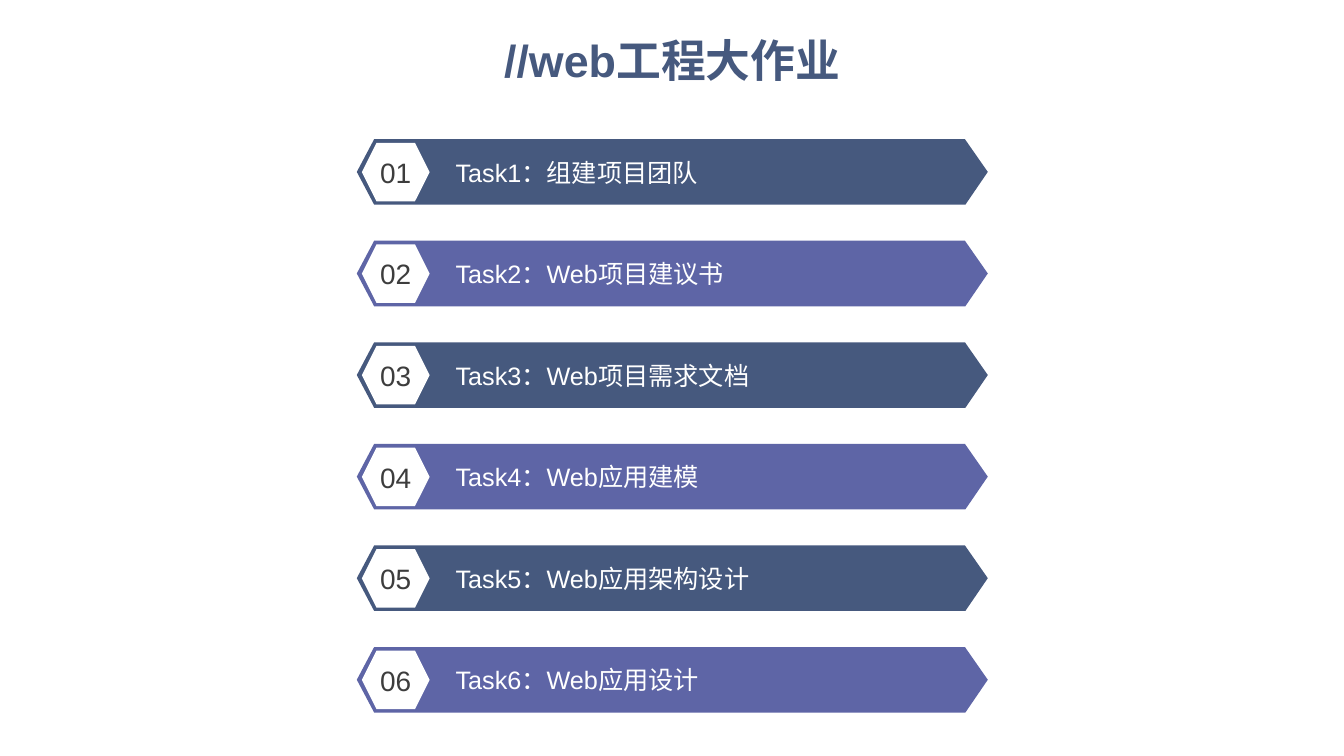
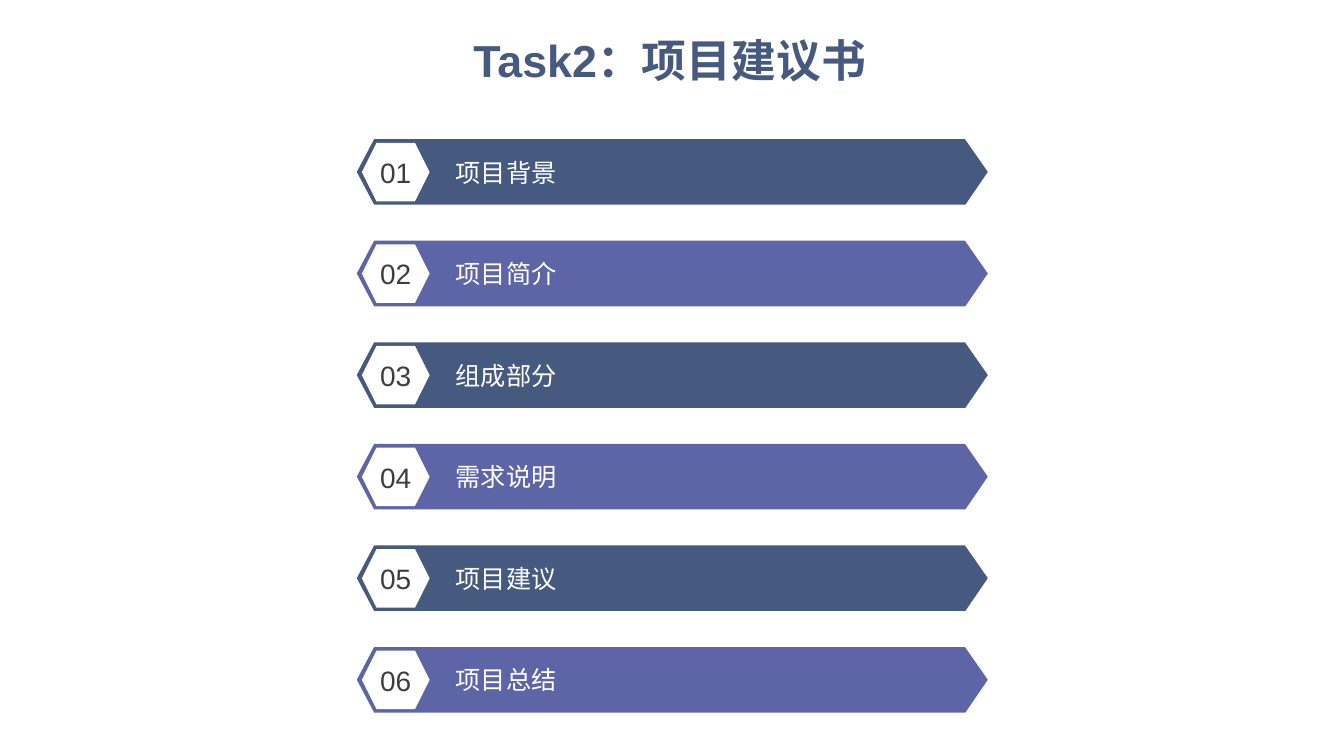
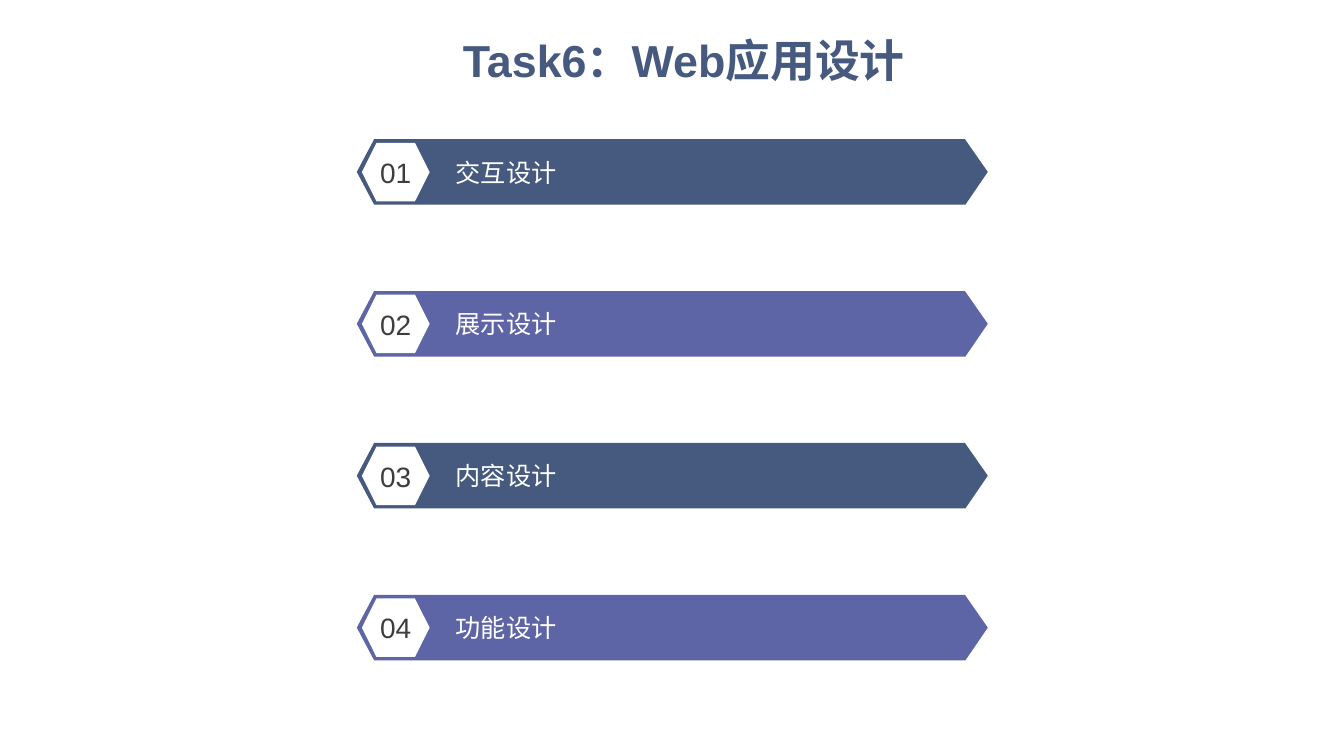
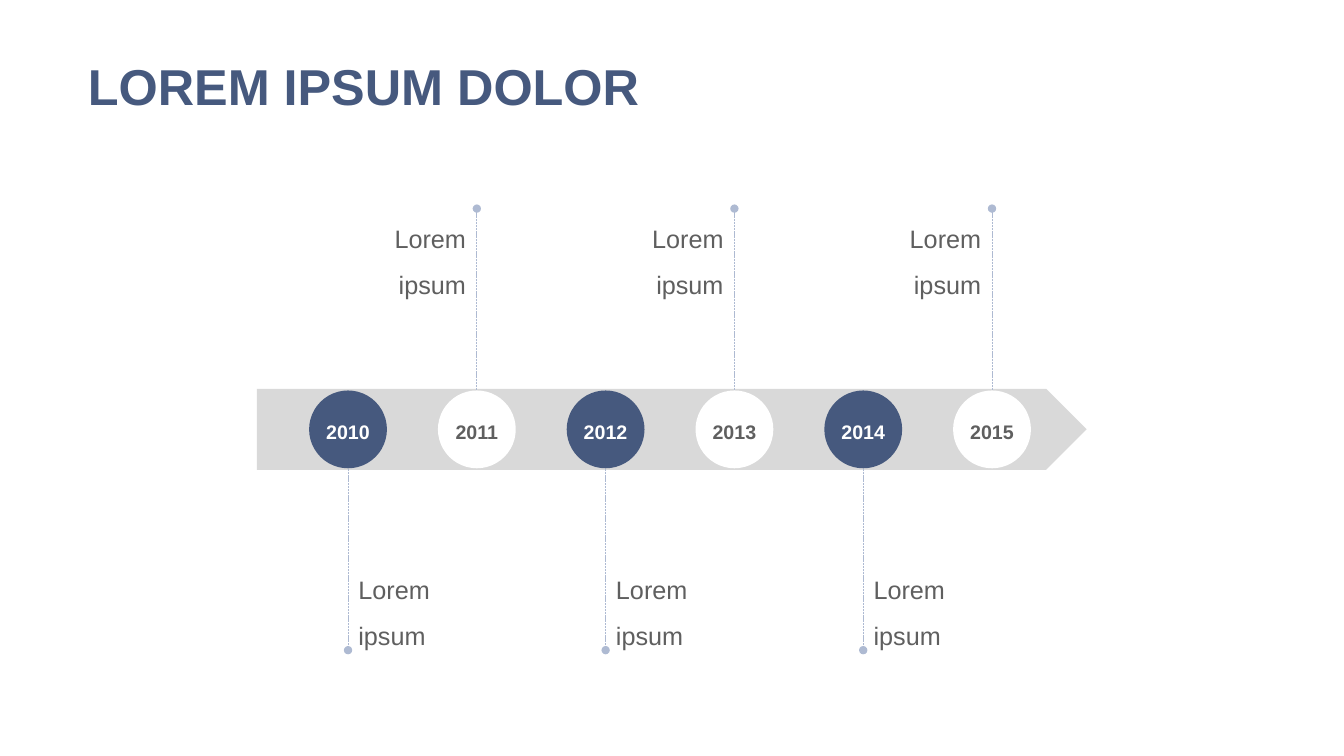
"""Build four slides: three lists of numbered banners and a timeline."""
import lxml.etree
import pptx
import pptx.dml.color
import pptx.enum.dml
import pptx.enum.lang
import pptx.enum.shapes
import pptx.enum.text
import pptx.oxml.ns
import pptx.util

Pt = pptx.util.Pt
ALIGN = pptx.enum.text.PP_ALIGN
ANCHOR = pptx.enum.text.MSO_ANCHOR
SHAPE = pptx.enum.shapes.MSO_SHAPE

FONT = "Arial"
COLORS = {
    "navy": "46597E",
    "violet": "5E65A6",
    "white": "FFFFFF",
    "number": "3D3D3D",
    "body": "5F5F5F",
    "band": "D9D9D9",
    "stem": "AEBAD2",
}

BANNER_LEFT, BANNER_TOP = 254.9, 99.4
BANNER_WIDTH, BANNER_HEIGHT = 450.7, 46.8
TIMELINE_BOX = (183.6, 149, 592.6, 315.4)


def rgb(name):
    """Return the palette colour with this name."""
    return pptx.dml.color.RGBColor.from_string(COLORS[name])


def lengths(*points):
    """Convert points to integer lengths."""
    return [Pt(value) for value in points]


def paint(shape, color):
    """Give a shape a plain fill with neither line nor shadow."""
    shape.shadow.inherit = False
    shape.fill.solid()
    shape.fill.fore_color.rgb = rgb(color)
    shape.line.fill.background()


def write(shape, text, size=18, color="white", bold=False, align=ALIGN.LEFT,
          anchor=ANCHOR.MIDDLE, spacing=1.0, insets=(0, 0, 0, 0)):
    """Set the text of a shape and its format."""
    frame = shape.text_frame
    frame.word_wrap = True
    frame.auto_size = pptx.enum.text.MSO_AUTO_SIZE.NONE
    frame.vertical_anchor = anchor
    (frame.margin_left, frame.margin_top,
     frame.margin_right, frame.margin_bottom) = lengths(*insets)
    paragraph = frame.paragraphs[0]
    paragraph.alignment = align
    paragraph.line_spacing = spacing
    run = paragraph.add_run()
    run.text = text
    run.font.name = FONT
    run.font.size = Pt(size)
    run.font.bold = bold
    run.font.color.rgb = rgb(color)
    run.font.language_id = pptx.enum.lang.MSO_LANGUAGE_ID.SIMPLIFIED_CHINESE


def add_titled_slide(deck, heading, box, **style):
    """Add a title-only slide with its heading placed in the box."""
    slide = deck.slides.add_slide(deck.slide_layouts[5])
    title = slide.shapes.title
    title.left, title.top, title.width, title.height = lengths(*box)
    write(title, heading, color="navy", bold=True, spacing=0.9,
          insets=(7.2, 3.6, 7.2, 3.6), **style)
    return slide


def add_banner(slide, box, number, label, color):
    """Draw a pointed banner with a numbered hexagon at its left."""
    left, top, width, height = box
    middle, bottom = top + height / 2, top + height
    outline = [(left + 12.4, top), (left + width - 16.3, top),
               (left + width, middle), (left + width - 16, bottom),
               (left + 12.4, bottom), (left, middle)]
    start, *corners = [lengths(*corner) for corner in outline]
    builder = slide.shapes.build_freeform(*start)
    builder.add_line_segments(corners, close=True)
    banner = builder.convert_to_shape()
    paint(banner, color)
    write(banner, label, insets=(70.6, 3.6, 7.2, 3.6))

    hexagon = slide.shapes.add_shape(
        SHAPE.HEXAGON, *lengths(left + 3.6, top + 2.6, 48.4, 41.8))
    paint(hexagon, "white")
    write(hexagon, number, size=20, color="number", align=ALIGN.CENTER)


def add_list_slide(deck, heading, title_box, labels, pitch):
    """Add a slide of equally spaced banners in alternating colours."""
    slide = add_titled_slide(deck, heading, title_box, size=32,
                             align=ALIGN.CENTER, anchor=ANCHOR.TOP)
    for index, label in enumerate(labels):
        box = (BANNER_LEFT, BANNER_TOP + index * pitch, BANNER_WIDTH, BANNER_HEIGHT)
        add_banner(slide, box, f"{index + 1:02d}", label,
                   ("navy", "violet")[index % 2])


def add_stem(slide, x, start, end):
    """Draw a dashed upright line that ends in a dot."""
    stem = slide.shapes.add_connector(
        pptx.enum.shapes.MSO_CONNECTOR.STRAIGHT, *lengths(x, start, x, end))
    stem.line.color.rgb = rgb("stem")
    stem.line.width = Pt(0.5)
    stem.line.dash_style = pptx.enum.dml.MSO_LINE.SQUARE_DOT
    properties = stem.element.spPr
    qn = pptx.oxml.ns.qn
    lxml.etree.SubElement(properties.find(qn("a:ln")), qn("a:tailEnd"), type="oval")
    lxml.etree.SubElement(properties, qn("a:effectLst"))


def add_milestone(slide, x, box, year, note, above):
    """Draw a year circle with its stem and note above or below the band."""
    top, height = box[1], box[3]
    middle, bottom = top + height / 2, top + height
    note_width, note_height, diameter = 109.4, 96, 55.6
    if above:
        add_stem(slide, x, middle - 18, top)
        note_left, note_top = x - note_width - 0.7, top
        align, anchor = ALIGN.RIGHT, ANCHOR.TOP
        circle_color, year_color = "white", "body"
    else:
        add_stem(slide, x, middle + 18, bottom)
        note_left, note_top = x + 0.3, bottom - note_height
        align, anchor = ALIGN.LEFT, ANCHOR.BOTTOM
        circle_color, year_color = "navy", "white"
    caption = slide.shapes.add_textbox(
        *lengths(note_left, note_top, note_width, note_height))
    write(caption, note, color="body", align=align, anchor=anchor,
          spacing=1.5, insets=(7.2, 0, 7.2, 0))
    circle = slide.shapes.add_shape(SHAPE.OVAL, *lengths(
        x - diameter / 2, middle - diameter / 2, diameter, diameter))
    paint(circle, circle_color)
    write(circle, year, size=14, color=year_color, bold=True,
          align=ALIGN.CENTER, spacing=1.2)


def add_timeline(slide, box, milestones):
    """Draw a band with milestones that alternate below and above it."""
    left, top, width, height = box
    band_height, first, pitch = 58, 65, 92
    band = slide.shapes.add_shape(SHAPE.PENTAGON, *lengths(
        left, top + (height - band_height) / 2, width, band_height))
    paint(band, "band")
    for index, (year, note) in enumerate(milestones):
        add_milestone(slide, left + first + index * pitch, box, year, note,
                      above=index % 2 == 1)


def main():
    """Build the deck and save it."""
    deck = pptx.Presentation()
    deck.slide_width, deck.slide_height = lengths(960, 540)

    add_list_slide(
        deck, "//web工程大作业", (254.9, 23.8, 450.7, 46),
        ["Task1：组建项目团队", "Task2：Web项目建议书", "Task3：Web项目需求文档",
         "Task4：Web应用建模", "Task5：Web应用架构设计", "Task6：Web应用设计"],
        pitch=72.55)
    add_list_slide(
        deck, "Task2：项目建议书", (295.2, 23.8, 366.5, 65.5),
        ["项目背景", "项目简介", "组成部分", "需求说明", "项目建议", "项目总结"],
        pitch=72.55)
    add_list_slide(
        deck, "Task6：Web应用设计", (234, 23.8, 509, 46),
        ["交互设计", "展示设计", "内容设计", "功能设计"],
        pitch=108.5)

    history = add_titled_slide(deck, "LOREM IPSUM DOLOR", (55.6, 36, 653, 55.4), size=36)
    add_timeline(history, TIMELINE_BOX,
                 [(str(year), "Lorem ipsum") for year in range(2010, 2016)])

    deck.save("out.pptx")


main()
